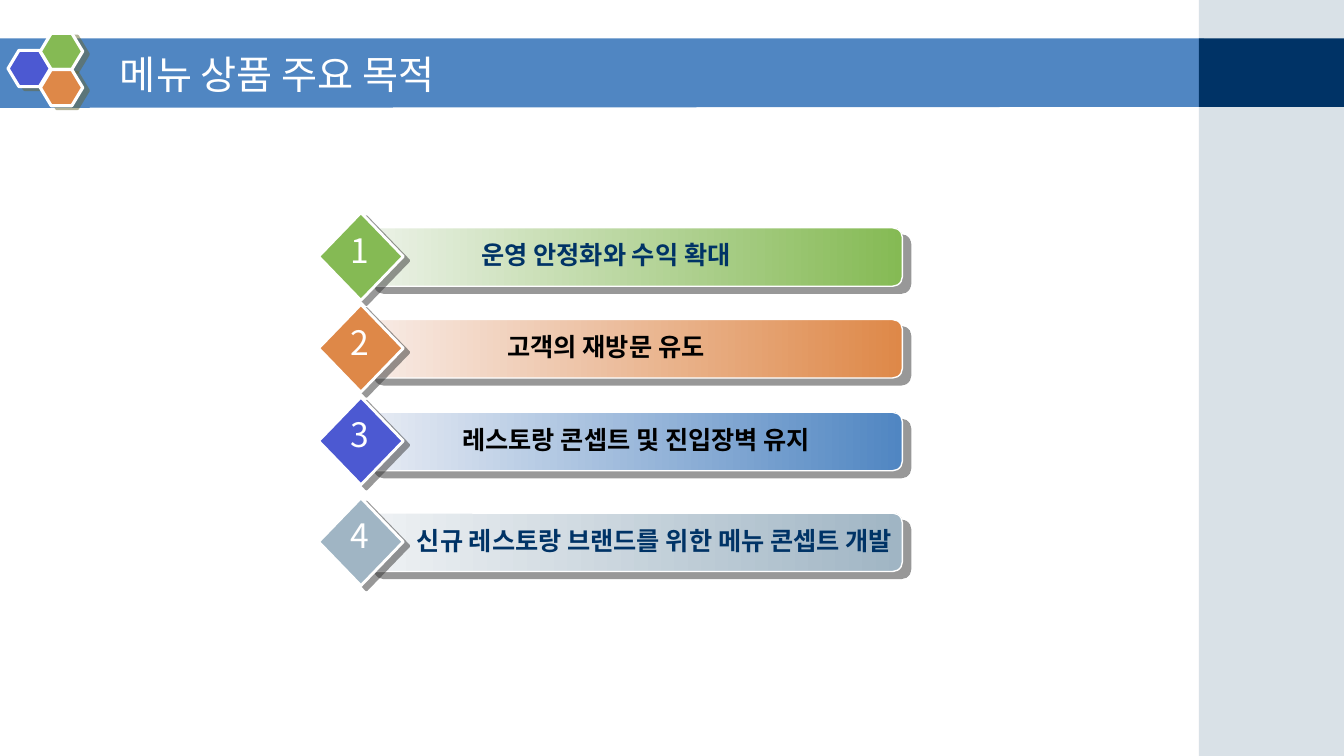
from lxml.etree import SubElement
from pptx import Presentation
from pptx.dml.color import RGBColor
from pptx.enum.shapes import MSO_SHAPE
from pptx.enum.text import MSO_ANCHOR, PP_ALIGN
from pptx.oxml.ns import qn
from pptx.util import Pt

PX = 9144  # EMU in one px, 100 px to the inch
W, H = 1333, 750


class Theme:
    font = "Noto Sans CJK KR"
    title_size, number_size, label_size = 28, 24, 18
    white, black, navy = "FFFFFF", "000000", "003366"
    blue, indigo, green, orange, grey = "5086C2", "4C59D2", "85BA54", "DE8848", "A0B5C4"
    bar_shadow = ("333333", 7.8, 40)
    diamond_shadow = ("333333", 5, 37)
    hexagon_shadow = ("666633", 4.5, 27)


# top, number colour, bar colours from left to right, label colour, label width, label
PURPOSES = [
    (211, Theme.green, ("ECF2E8", Theme.green), Theme.navy, 420, "운영 안정화와 수익 확대"),
    (302, Theme.orange, ("F8ECE7", Theme.orange), Theme.black, 420, "고객의 재방문 유도"),
    (394, Theme.indigo, ("E8ECF4", Theme.blue), Theme.black, 480, "레스토랑 콘셉트 및 진입장벽 유지"),
    (494, Theme.grey, ("EFF2F4", Theme.grey), Theme.navy, 516,
     "신규 레스토랑 브랜드를 위한 메뉴 콘셉트 개발"),
]


def emu(*lengths):
    return [n * PX for n in lengths]


def set_alpha(parent, percent):
    color = next(parent.iter(qn("a:srgbClr")))
    SubElement(color, qn("a:alpha"), val=str(percent * 1000))


def add_shadow(sp, color, distance, angle):
    """Give the shape a hard, half-transparent outer shadow."""
    sp.shadow.inherit = False
    effects = sp._element.spPr.find(qn("a:effectLst"))
    shadow = SubElement(effects, qn("a:outerShdw"), blurRad="0", dist=str(Pt(distance)),
                        dir=str(angle * 60000), algn="ctr", rotWithShape="0")
    SubElement(shadow, qn("a:srgbClr"), val=color)
    set_alpha(shadow, 50)


def style_shape(sp, fill, line=None, shadow=None):
    """Fill with one colour, or with a left-to-right gradient for a pair."""
    if isinstance(fill, tuple):
        sp.fill.gradient()
        sp.fill.gradient_angle = 0
        for stop, color in zip(sp.fill.gradient_stops, fill):
            stop.color.rgb = RGBColor.from_string(color)
    else:
        sp.fill.solid()
        sp.fill.fore_color.rgb = RGBColor.from_string(fill)
    if line:
        sp.line.color.rgb = RGBColor.from_string(Theme.white)
        sp.line.width = Pt(line)
    else:
        sp.line.fill.background()
    if shadow:
        add_shadow(sp, *shadow)
    else:
        sp.shadow.inherit = False
    return sp


def add_shape(shapes, kind, box, fill, **style):
    return style_shape(shapes.add_shape(kind, *emu(*box)), fill, **style)


def write(tf, text, size, color, bold=False, align=PP_ALIGN.CENTER):
    p = tf.paragraphs[0]
    p.alignment = align
    r = p.add_run()
    r.text = text
    for name, value in {"name": Theme.font, "size": Pt(size), "bold": bold}.items():
        setattr(r.font, name, value)
    r.font.color.rgb = RGBColor.from_string(color)
    SubElement(r._r.get_or_add_rPr(), qn("a:ea"), typeface=Theme.font)


def add_label(shapes, box, text, size, color, bold=False, wrap=True):
    tf = shapes.add_textbox(*emu(*box)).text_frame
    tf.word_wrap = wrap
    write(tf, text, size, color, bold)


def draw_header(s, x, y, w, h):
    builder = s.shapes.build_freeform(x, y, scale=PX)
    builder.add_line_segments([(x + w, y), (x + w - 1, y + h - 1), (x, y + h)])
    style_shape(builder.convert_to_shape(), Theme.blue)


def draw_side_panel(s, x, y, w, h):
    panel = add_shape(s.shapes, MSO_SHAPE.RECTANGLE, (x, y, w, h), Theme.grey)
    set_alpha(panel._element.spPr, 40)
    add_shape(s.shapes, MSO_SHAPE.RECTANGLE, (x, y + 38, w, 68), Theme.navy)


def draw_hexagons(s, x, y):
    group = s.shapes.add_group_shape().shapes
    for dx, dy, color in [(0, 17, Theme.indigo), (32, 0, Theme.green), (32, 36, Theme.orange)]:
        hexagon = add_shape(group, MSO_SHAPE.HEXAGON, (x + dx, y + dy, 42, 36), color,
                            line=2.25, shadow=Theme.hexagon_shadow)
        hexagon.adjustments[0] = 0.3


def place_title(s, text, x, y, w, h):
    title = s.shapes.title
    title.left, title.top, title.width, title.height = emu(x, y, w, h)
    title.text_frame.vertical_anchor = MSO_ANCHOR.MIDDLE
    write(title.text_frame, text, Theme.title_size, Theme.white, align=PP_ALIGN.LEFT)
    s.shapes._spTree.append(title._element)  # in front of the header band


def draw_purpose(s, x, y, number, color, bar_fill, label_color, label_w, label):
    group = s.shapes.add_group_shape().shapes
    add_shape(group, MSO_SHAPE.ROUNDED_RECTANGLE, (x + 47, y + 15, 532, 58), bar_fill,
              line=1, shadow=Theme.bar_shadow)
    add_shape(group, MSO_SHAPE.DIAMOND, (x, y, 84, 87), color,
              line=2, shadow=Theme.diamond_shadow)
    add_label(group, (x + 75, y + 22, label_w, 47), label,
              Theme.label_size, label_color, bold=True)
    add_label(group, (x + 20, y + 12, 41, 58), str(number),
              Theme.number_size, Theme.white, wrap=False)


def build_purpose_slide(prs):
    s = prs.slides.add_slide(prs.slide_layouts[5])
    draw_header(s, 0, 38, 1194, 69)
    draw_side_panel(s, 1189, 0, W - 1189, H)
    draw_hexagons(s, 8, 33)
    place_title(s, "메뉴 상품 주요 목적", 109, 42, 978, 62)
    for number, (top, *purpose) in enumerate(PURPOSES, 1):
        draw_purpose(s, 316, top, number, *purpose)


def main():
    prs = Presentation()
    prs.slide_width, prs.slide_height = emu(W, H)
    build_purpose_slide(prs)
    prs.save("out.pptx")


if __name__ == "__main__":
    main()
